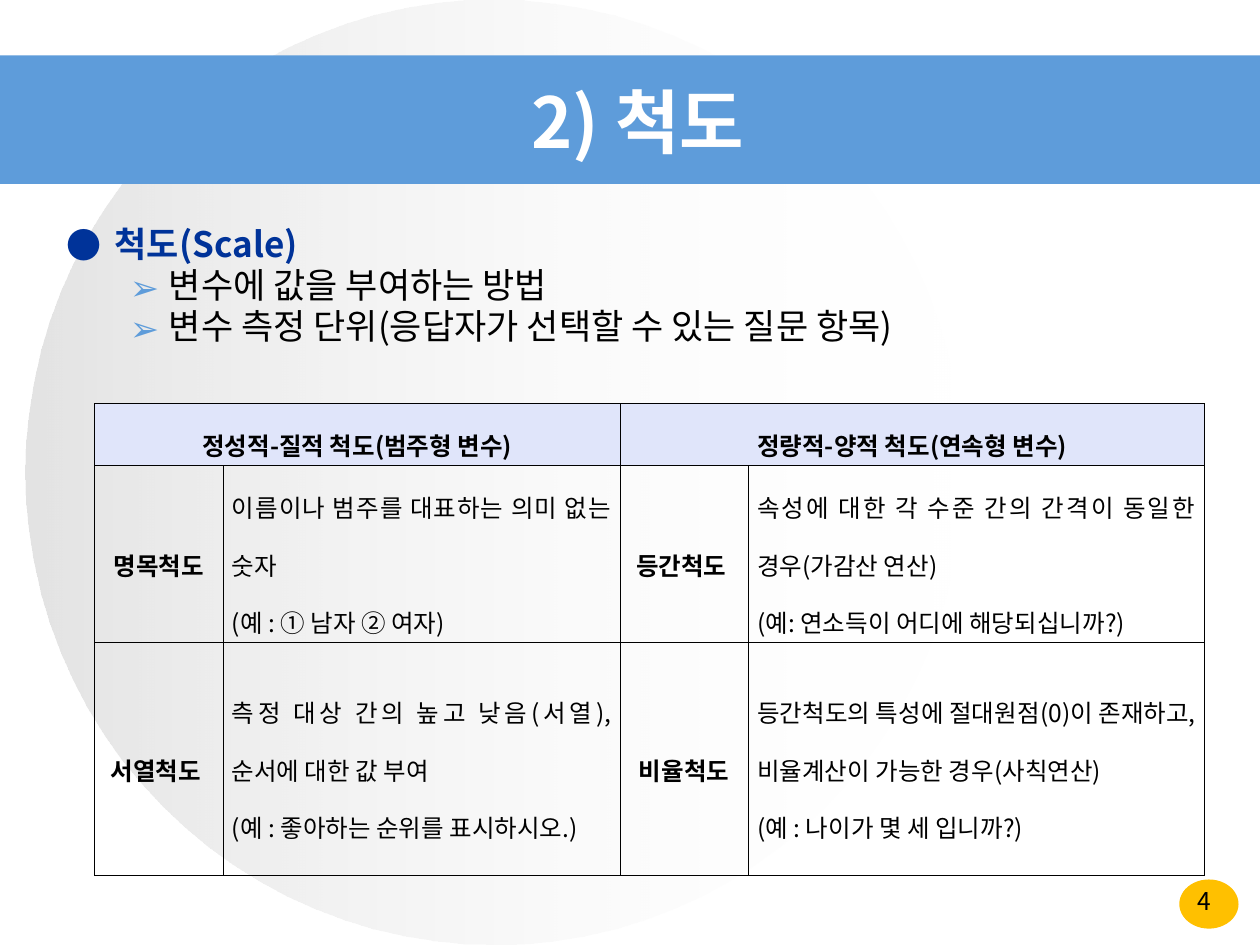
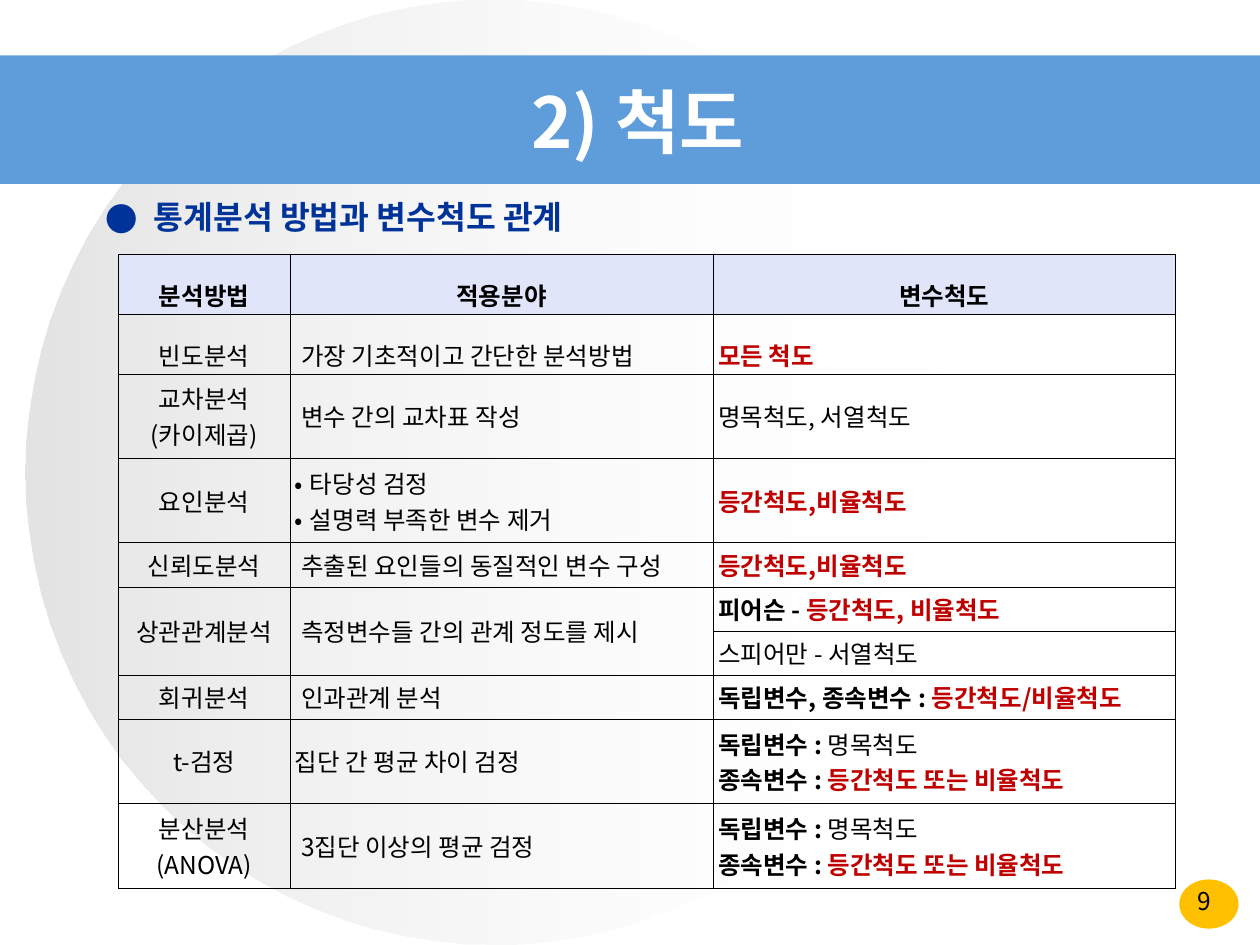
from dataclasses import dataclass
from typing import NamedTuple, Optional

from lxml.etree import SubElement
from pptx import Presentation
from pptx.dml.color import RGBColor
from pptx.enum.shapes import MSO_SHAPE
from pptx.enum.text import MSO_ANCHOR, MSO_AUTO_SIZE, PP_ALIGN
from pptx.oxml.ns import qn
from pptx.util import Inches, Pt

FONT = "Noto Sans CJK KR"
BLUE, NAVY, GOLD = "5E9CDA", "003399", "FFC000"
WHITE, BLACK, RED, PALE, GRAY = "FFFFFF", "000000", "C00000", "E0E5FA", "C0C0C0"
LEFT, MID, JUST = PP_ALIGN.LEFT, PP_ALIGN.CENTER, PP_ALIGN.JUSTIFY


class Run(NamedTuple):
    text: str
    bold: bool = False
    color: str = BLACK


class Mark(NamedTuple):
    """A bullet with its colour and the text indent in inches."""
    char: str
    color: str
    left: float
    hang: float


@dataclass
class Line:
    runs: list[Run]
    mark: Optional[Mark] = None
    level: int = 0


@dataclass
class Cell:
    lines: list[Line]
    align: PP_ALIGN = LEFT
    space: float = 1.0
    indent: float = 0
    fill: str = ""
    rows: int = 1
    cols: int = 1


@dataclass
class Grid:
    left: float
    top: float
    widths: list[float]
    heights: list[float]
    pad: tuple[float, float]
    cells: list[list[Optional[Cell]]]


@dataclass
class Page:
    number: str
    box: tuple[float, float, float, float]
    size: float
    points: list[Line]
    grid: Grid


DOT = Mark("●", NAVY, 0.38, 0.38)
ARROW = Mark("➢", BLUE, 0.81, 0.31)
SMALL = Mark("•", BLACK, 0.12, 0.12)


def rgb(code: str) -> RGBColor:
    return RGBColor.from_string(code)


def place(shape, left: float, top: float, width: float, height: float) -> None:
    shape.left, shape.top = Inches(left), Inches(top)
    shape.width, shape.height = Inches(width), Inches(height)


def indent(para, left: float, hang: float = 0) -> None:
    props = para._p.get_or_add_pPr()
    props.set("marL", str(Inches(left)))
    props.set("indent", str(-Inches(hang)))


def bullet(para, mark: Mark) -> None:
    indent(para, mark.left, mark.hang)
    props = para._p.get_or_add_pPr()
    tint = SubElement(props, qn("a:buClr"))
    SubElement(tint, qn("a:srgbClr"), val=mark.color)
    SubElement(props, qn("a:buFont"), typeface=FONT)
    SubElement(props, qn("a:buChar"), char=mark.char)


def write(frame, lines: list[Line], *, size: float, align: PP_ALIGN = LEFT,
          space: float = 1.0, gap: float = 0, left: float = 0,
          anchor: MSO_ANCHOR = MSO_ANCHOR.TOP) -> None:
    frame.word_wrap = True
    frame.auto_size = MSO_AUTO_SIZE.NONE
    frame.vertical_anchor = anchor
    for i, line in enumerate(lines):
        para = frame.add_paragraph() if i else frame.paragraphs[0]
        para.level = line.level
        para.alignment = align
        para.line_spacing = space
        para.space_before = Pt(gap if i else 0)
        if line.mark:
            bullet(para, line.mark)
        elif left:
            indent(para, left)
        for part in line.runs:
            run = para.add_run()
            run.text = part.text
            font = run.font
            font.name, font.size, font.bold = FONT, Pt(size), part.bold
            font.color.rgb = rgb(part.color)
            SubElement(run._r.get_or_add_rPr(), qn("a:ea"), typeface=FONT)


def shape(slide, kind: MSO_SHAPE, box: tuple, color: str):
    item = slide.shapes.add_shape(kind, *map(Inches, box))
    item.shadow.inherit = False
    item.fill.solid()
    item.fill.fore_color.rgb = rgb(color)
    item.line.fill.background()
    return item


def fade(item) -> None:
    """Fill with a gray that thins out to the right."""
    item.fill.gradient()
    item.fill.gradient_angle = 0
    for stop, color, at in zip(item.fill.gradient_stops, (GRAY, WHITE), (0, 1)):
        stop.color.rgb = rgb(color)
        stop.position = at
    tints = item.element.spPr.iter(qn("a:srgbClr"))
    for tint, alpha in zip(list(tints), ("44000", "0")):
        SubElement(tint, qn("a:alpha"), val=alpha)


def border(cell) -> None:
    props = cell._tc.get_or_add_tcPr()
    for i, side in enumerate(("lnL", "lnR", "lnT", "lnB")):
        edge = SubElement(props, qn(f"a:{side}"), w=str(Pt(0.28)))
        fill = SubElement(edge, qn("a:solidFill"))
        SubElement(fill, qn("a:srgbClr"), val=BLACK)
        props.insert(i, edge)


def table(slide, grid: Grid) -> None:
    frame = slide.shapes.add_table(
        len(grid.heights), len(grid.widths), Inches(grid.left), Inches(grid.top),
        Inches(sum(grid.widths)), Inches(sum(grid.heights)))
    tab = frame.table
    tab.first_row = tab.horz_banding = False
    for col, width in zip(tab.columns, grid.widths):
        col.width = Inches(width)
    for row, height in zip(tab.rows, grid.heights):
        row.height = Inches(height)
    for r, row in enumerate(grid.cells):
        for c, data in enumerate(row):
            cell = tab.cell(r, c)
            cell.fill.background()
            border(cell)
            if data is None:
                continue
            if data.fill:
                cell.fill.solid()
                cell.fill.fore_color.rgb = rgb(data.fill)
            if data.rows > 1 or data.cols > 1:
                cell.merge(tab.cell(r + data.rows - 1, c + data.cols - 1))
            cell.margin_left = cell.margin_right = Inches(grid.pad[0])
            cell.margin_top = cell.margin_bottom = Inches(grid.pad[1])
            cell.vertical_anchor = MSO_ANCHOR.MIDDLE
            write(cell.text_frame, data.lines, size=14, align=data.align,
                  space=data.space, left=data.indent, anchor=MSO_ANCHOR.MIDDLE)


def build(deck, page: Page) -> None:
    slide = deck.slides.add_slide(deck.slide_layouts[1])
    title, body = slide.placeholders
    shape(slide, MSO_SHAPE.OVAL, (9.36, 6.98, 0.47, 0.39), GOLD)
    fade(shape(slide, MSO_SHAPE.OVAL, (0.2, 0, 7.44, 7.5), GRAY))
    shape(slide, MSO_SHAPE.RECTANGLE, (0, 0.44, 10, 1.02), BLUE)
    for holder in (title, body):
        slide.shapes.element.append(holder.element)
    place(title, 0.12, 0.58, 9.88, 0.75)
    write(title.text_frame, [Line([Run("2) 척도", True, WHITE)])], size=40,
          align=MID, anchor=MSO_ANCHOR.MIDDLE)
    place(body, *page.box)
    write(body.text_frame, page.points, size=page.size, space=0.9, gap=2)
    number = slide.shapes.add_textbox(*map(Inches, (9.12, 6.98, 0.88, 0.29)))
    write(number.text_frame, [Line([Run(page.number)])], size=14, align=MID)
    table(slide, page.grid)


def plain(*texts: str, bold: bool = False, color: str = BLACK,
          mark: Optional[Mark] = None) -> list[Line]:
    return [Line([Run(text, bold, color)], mark) for text in texts]


def head(text: str, cols: int = 1) -> Cell:
    return Cell(plain(text, bold=True), MID, 1.6, fill=PALE, cols=cols)


def scale(text: str) -> Cell:
    return Cell(plain(text, bold=True), MID, 1.6)


def note(*texts: str) -> Cell:
    return Cell(plain(*texts), JUST, 1.6)


def name(*texts: str, rows: int = 1, space: float = 1.0) -> Cell:
    return Cell(plain(*texts), MID, space, rows=rows)


def use(text: str, rows: int = 1, space: float = 1.0, left: float = 0.05) -> Cell:
    return Cell(plain(text), JUST, space, left, rows=rows)


def red(text: str, space: float = 1.0) -> Cell:
    return Cell(plain(text, bold=True, color=RED), space=space)


def pair(lead: str, text: str) -> Line:
    """A bold lead followed by a bold red text."""
    return Line([Run(lead, True), Run(text, True, RED)])


def both() -> Cell:
    return Cell([Line([Run("독립변수 : ", True), Run("명목척도")]),
                 pair("종속변수 : ", "등간척도 또는 비율척도")])


SCALES = Grid(0.75, 3.2, [1.02, 3.15, 1.02, 3.62], [0.43, 1.36, 1.36], (0.07, 0.02), [
    [head("정성적-질적 척도(범주형 변수)", 2), None,
     head("정량적-양적 척도(연속형 변수)", 2), None],
    [scale("명목척도"),
     note("이름이나 범주를 대표하는 의미 없는 숫자", "(예 : ① 남자 ② 여자)"),
     scale("등간척도 "),
     note("속성에 대한 각 수준 간의 간격이 동일한 경우(가감산 연산)",
          "(예: 연소득이 어디에 해당되십니까?)")],
    [scale("서열척도 "),
     note("측정 대상 간의 높고 낮음(서열), 순서에 대한 값 부여",
          "(예 : 좋아하는 순위를 표시하시오.)"),
     scale("비율척도"),
     note("등간척도의 특성에 절대원점(0)이 존재하고, 비율계산이 가능한 경우(사칙연산)",
          "(예 : 나이가 몇 세 입니까?)")],
])

METHODS = Grid(
    0.94, 2.02, [1.36, 3.36, 3.67],
    [0.43] * 2 + [0.67] * 2 + [0.35] * 4 + [0.67] * 2, (0.04, 0.01), [
        [head("분석방법"), head("적용분야"), head("변수척도")],
        [name("빈도분석", space=1.6), use("가장 기초적이고 간단한 분석방법", space=1.6),
         red("모든 척도", 1.6)],
        [name("교차분석", "(카이제곱)"), use("변수 간의 교차표 작성"),
         Cell(plain("명목척도, 서열척도"))],
        [name("요인분석"),
         Cell(plain("타당성 검정", "설명력 부족한 변수 제거", mark=SMALL), JUST),
         red("등간척도,비율척도")],
        [name("신뢰도분석"), use("추출된 요인들의 동질적인 변수 구성"),
         red("등간척도,비율척도")],
        [name("상관관계분석", rows=2), use("측정변수들 간의 관계 정도를 제시", 2),
         Cell([pair("피어슨 - ", "등간척도, 비율척도")])],
        [None, None, Cell(plain("스피어만 - 서열척도"))],
        [name("회귀분석"), use("인과관계 분석"),
         Cell([pair("독립변수, 종속변수 : ", "등간척도/비율척도")], JUST)],
        [name("t-검정"), use("집단 간 평균 차이 검정", left=0), both()],
        [name("분산분석", "(ANOVA)"), use("3집단 이상의 평균 검정"), both()],
    ])

PAGES = [
    Page("4", (0.43, 1.75, 9, 1.29), 20, [
        Line([Run("척도(Scale)", True, NAVY)], DOT),
        Line([Run("변수에 값을 부여하는 방법")], ARROW, 1),
        Line([Run("변수 측정 단위(응답자가 선택할 수 있는 질문 항목)")], ARROW, 1),
    ], SCALES),
    Page("9", (0.74, 1.55, 5.52, 0.39), 18.5, [
        Line([Run("통계분석 방법과 변수척도 관계", True, NAVY)], DOT),
    ], METHODS),
]


def main() -> None:
    deck = Presentation()
    deck.slide_width, deck.slide_height = Inches(10), Inches(7.5)
    for page in PAGES:
        build(deck, page)
    deck.save("out.pptx")


if __name__ == "__main__":
    main()
